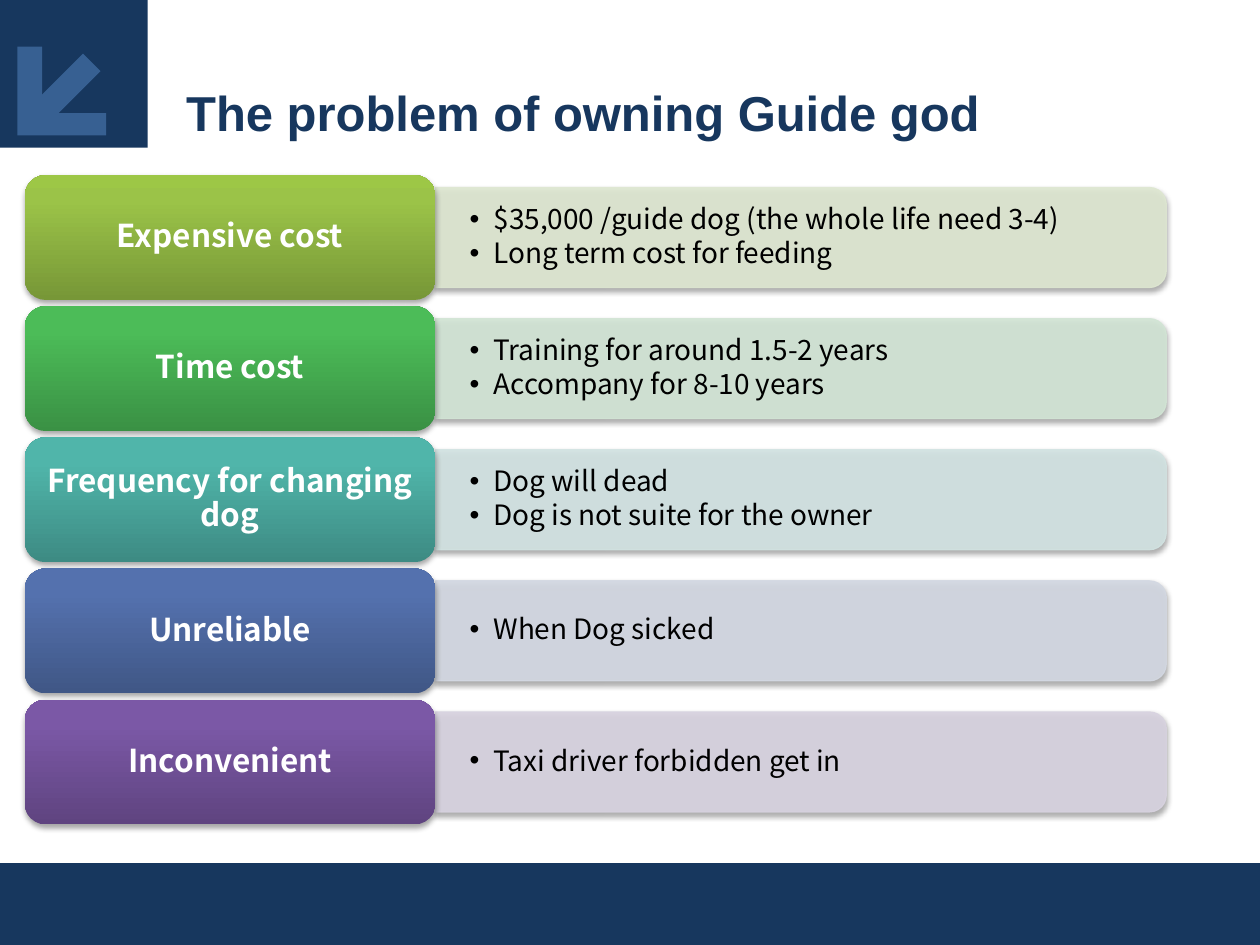
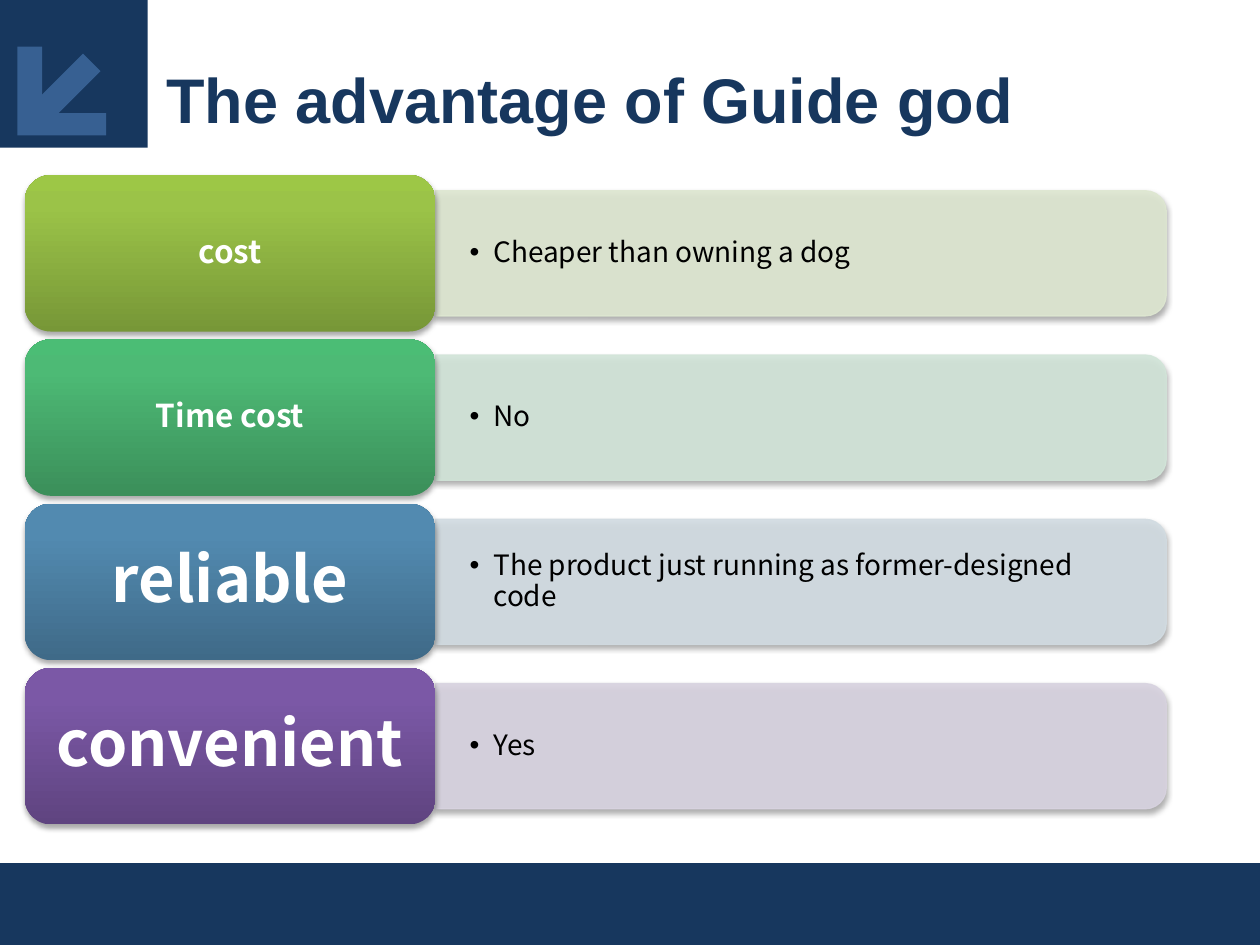
from pptx import Presentation
from pptx.dml.color import RGBColor
from pptx.enum.shapes import MSO_SHAPE
from pptx.enum.text import MSO_ANCHOR, MSO_AUTO_SIZE, PP_ALIGN
from pptx.oxml import parse_xml
from pptx.oxml.ns import nsdecls, qn
from pptx.util import Cm, Pt

# Shared style
NAVY, BLUE = "17375E", "376092"
WHITE, BLACK = "FFFFFF", "000000"
TITLE_FONT, BODY_FONT = "Arial", "Noto Sans CJK KR"

# Shared row geometry, in centimetres
ROWS_TOP, ROWS_HEIGHT, GAP_RATIO = 3.53, 13.09, 0.05
LABEL_LEFT, LABEL_WIDTH = 0.5, 8.28
PANEL_LEFT, PANEL_WIDTH, PANEL_RATIO = 8.78, 14.73, 0.8

# Row themes: gradient from bottom to top, then the panel colour
LIME = (("779737", "9BC348", "9DC746"), "DEE7D1")
GREEN = (("3A9144", "4CBC58", "4ABF57"), "D2E5D5")
EMERALD = (("3B8F5A", "4DBA75", "4BBD75"), "D2E5D9")
TEAL = (("3D8B83", "50B5AA", "4EB8AC"), "D2E3E2")
STEEL = (("3F6A88", "528AB0", "518BB3"), "D2DCE2")
INDIGO = (("405786", "5471AE", "5271B0"), "D3D8E2")
PURPLE = (("5F4480", "7B58A6", "7C57A8"), "D8D3E0")

# Each row: label, label size, bullets, theme
PROBLEM_ROWS = [
    ("Expensive cost", 18,
     ["$35,000 /guide dog (the whole life need 3-4)", "Long term cost for feeding"], LIME),
    ("Time cost", 18,
     ["Training for around 1.5-2 years", "Accompany for 8-10 years"], GREEN),
    ("Frequency for changing dog", 18,
     ["Dog will dead", "Dog is not suite for the owner"], TEAL),
    ("Unreliable", 18, ["When Dog sicked"], INDIGO),
    ("Inconvenient", 18, ["Taxi driver forbidden get in"], PURPLE),
]
ADVANTAGE_ROWS = [
    ("cost", 18, ["Cheaper than owning a dog"], LIME),
    ("Time cost", 18, ["No"], EMERALD),
    ("reliable", 36, ["The product just running as former-designed code"], STEEL),
    ("convenient", 36, ["Yes"], PURPLE),
]


def color(hex_code):
    return RGBColor.from_string(hex_code)


def format_paragraph(paragraph, font_name, size, hex_code, bold=False):
    font = paragraph.font
    font.name, font.size, font.bold = font_name, Pt(size), bold
    font.color.rgb = color(hex_code)


def add_plain_shape(slide, kind, left, top, width, height, fill):
    shape = slide.shapes.add_shape(kind, Cm(left), Cm(top), Cm(width), Cm(height))
    shape.shadow.inherit = False
    shape.fill.solid()
    shape.fill.fore_color.rgb = color(fill)
    shape.line.fill.background()
    return shape


def add_soft_shadow(shape):
    shape.element.spPr.find(qn("a:effectLst")).append(parse_xml(
        f'<a:outerShdw {nsdecls("a")} blurRad="40000" dist="23000" dir="5400000" '
        f'rotWithShape="0"><a:srgbClr val="{BLACK}"><a:alpha val="35000"/>'
        '</a:srgbClr></a:outerShdw>'))


def set_gradient(shape, colors):
    stops = "".join(f'<a:gs pos="{position}"><a:srgbClr val="{hex_code}"/></a:gs>'
                    for position, hex_code in zip((0, 80000, 100000), colors))
    properties = shape.element.spPr
    properties.replace(properties.find(qn("a:solidFill")), parse_xml(
        f'<a:gradFill {nsdecls("a")} rotWithShape="1"><a:gsLst>{stops}</a:gsLst>'
        '<a:lin ang="16200000" scaled="0"/></a:gradFill>'))


def set_bullet(paragraph):
    properties = paragraph._p.get_or_add_pPr()
    properties.set("marL", str(Cm(0.48)))
    properties.set("indent", str(-Cm(0.48)))
    properties.append(parse_xml(f'<a:buFont {nsdecls("a")} typeface="Arial"/>'))
    properties.append(parse_xml(f'<a:buChar {nsdecls("a")} char="•"/>'))


def decorate_layout(slide):
    """Draw the corner emblem and footer band, then move them to the layout."""
    corner = add_plain_shape(slide, MSO_SHAPE.RECTANGLE, 0, 0, 2.98, 2.98, NAVY)
    arrow_head = add_plain_shape(slide, MSO_SHAPE.CORNER, 0.35, 0.94, 1.79, 1.79, BLUE)
    arrow_head.adjustments[0] = 0.25
    arrow_head.adjustments[1] = 0.28
    arrow_stem = add_plain_shape(slide, MSO_SHAPE.RECTANGLE, 1.07, 1.04, 0.5, 1.5, BLUE)
    arrow_stem.rotation = 45
    footer = add_plain_shape(slide, MSO_SHAPE.RECTANGLE, 0, 17.4, 25.4, 1.65, NAVY)
    layout_tree = slide.slide_layout.element.cSld.spTree
    for shape in (corner, arrow_head, arrow_stem, footer):
        layout_tree.append(shape.element)


def set_title(slide, text, left, top, height, size):
    title = slide.shapes.title
    title.left, title.top, title.width, title.height = Cm(left), Cm(top), Cm(20.62), Cm(height)
    frame = title.text_frame
    frame.text = text
    frame.auto_size = MSO_AUTO_SIZE.NONE
    frame.vertical_anchor = MSO_ANCHOR.MIDDLE
    paragraph = frame.paragraphs[0]
    paragraph.alignment = PP_ALIGN.LEFT
    format_paragraph(paragraph, TITLE_FONT, size, NAVY, bold=True)


def add_panel(slide, top, height, fill):
    """Add a bar with rounded right corners: an upright shape turned by 90 degrees."""
    left = PANEL_LEFT + (PANEL_WIDTH - height) / 2
    upright_top = top - (PANEL_WIDTH - height) / 2
    panel = add_plain_shape(slide, MSO_SHAPE.ROUND_2_SAME_RECTANGLE,
                            left, upright_top, height, PANEL_WIDTH, fill)
    panel.rotation = 90
    panel.line.color.rgb = color(fill)
    panel.line.width = Pt(0.75)
    for solid in panel.element.spPr.iter(qn("a:solidFill")):
        solid[0].append(parse_xml(f'<a:alpha {nsdecls("a")} val="90000"/>'))
    add_soft_shadow(panel)


def add_bullets(slide, top, height, bullets):
    box = slide.shapes.add_textbox(Cm(PANEL_LEFT), Cm(top), Cm(PANEL_WIDTH - 0.1), Cm(height))
    frame = box.text_frame
    frame.word_wrap = True
    frame.vertical_anchor = MSO_ANCHOR.MIDDLE
    frame.margin_left = frame.margin_right = Cm(0.69)
    frame.margin_top = frame.margin_bottom = 0
    frame.text = "\n".join(bullets)
    for paragraph in frame.paragraphs:
        paragraph.line_spacing = 0.9
        paragraph.space_after = Pt(2)
        set_bullet(paragraph)
        format_paragraph(paragraph, BODY_FONT, 16, BLACK)


def add_label(slide, top, height, text, size, gradient):
    label = add_plain_shape(slide, MSO_SHAPE.ROUNDED_RECTANGLE,
                            LABEL_LEFT, top, LABEL_WIDTH, height, gradient[0])
    set_gradient(label, gradient)
    add_soft_shadow(label)
    frame = label.text_frame
    frame.word_wrap = True
    frame.vertical_anchor = MSO_ANCHOR.MIDDLE
    frame.margin_left = frame.margin_right = Cm(0.3)
    frame.text = text
    paragraph = frame.paragraphs[0]
    paragraph.alignment = PP_ALIGN.CENTER
    paragraph.line_spacing = 0.9
    format_paragraph(paragraph, BODY_FONT, size, WHITE, bold=True)


def add_rows(slide, rows):
    count = len(rows)
    height = ROWS_HEIGHT / (count + (count - 1) * GAP_RATIO)
    panel_height = height * PANEL_RATIO
    for index, (label, size, bullets, (gradient, panel_fill)) in enumerate(rows):
        top = ROWS_TOP + index * height * (1 + GAP_RATIO)
        panel_top = top + (height - panel_height) / 2
        add_panel(slide, panel_top, panel_height, panel_fill)
        add_bullets(slide, panel_top, panel_height, bullets)
        add_label(slide, top, height, label, size, gradient)


def main():
    presentation = Presentation()
    presentation.slide_width, presentation.slide_height = Cm(25.4), Cm(19.05)
    title_only = presentation.slide_layouts[5]

    # Problems of owning
    problem_slide = presentation.slides.add_slide(title_only)
    decorate_layout(problem_slide)
    set_title(problem_slide, "The problem of owning Guide god", 3.5, 1.53, 1.45, 28)
    add_rows(problem_slide, PROBLEM_ROWS)

    # Advantages
    advantage_slide = presentation.slides.add_slide(title_only)
    set_title(advantage_slide, "The advantage of Guide god", 3.1, 1.08, 1.8, 36)
    add_rows(advantage_slide, ADVANTAGE_ROWS)

    presentation.save("out.pptx")


if __name__ == "__main__":
    main()
